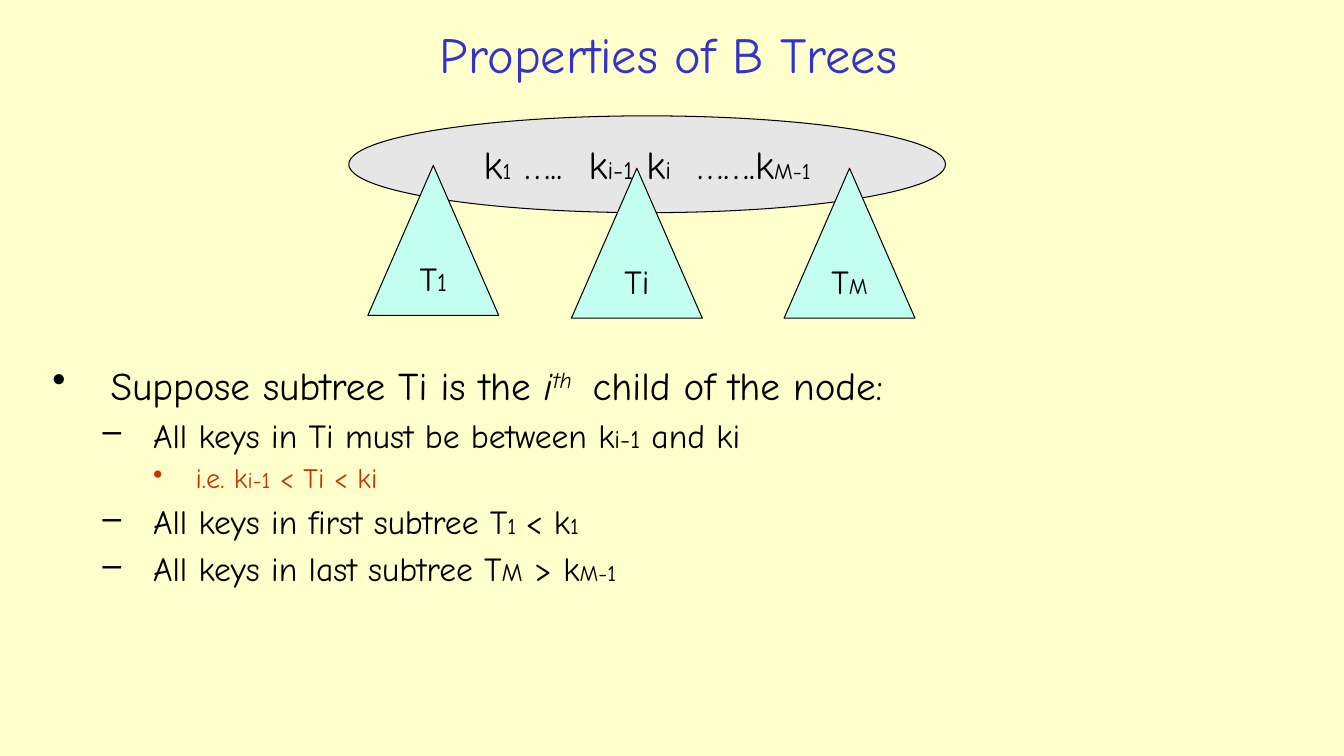
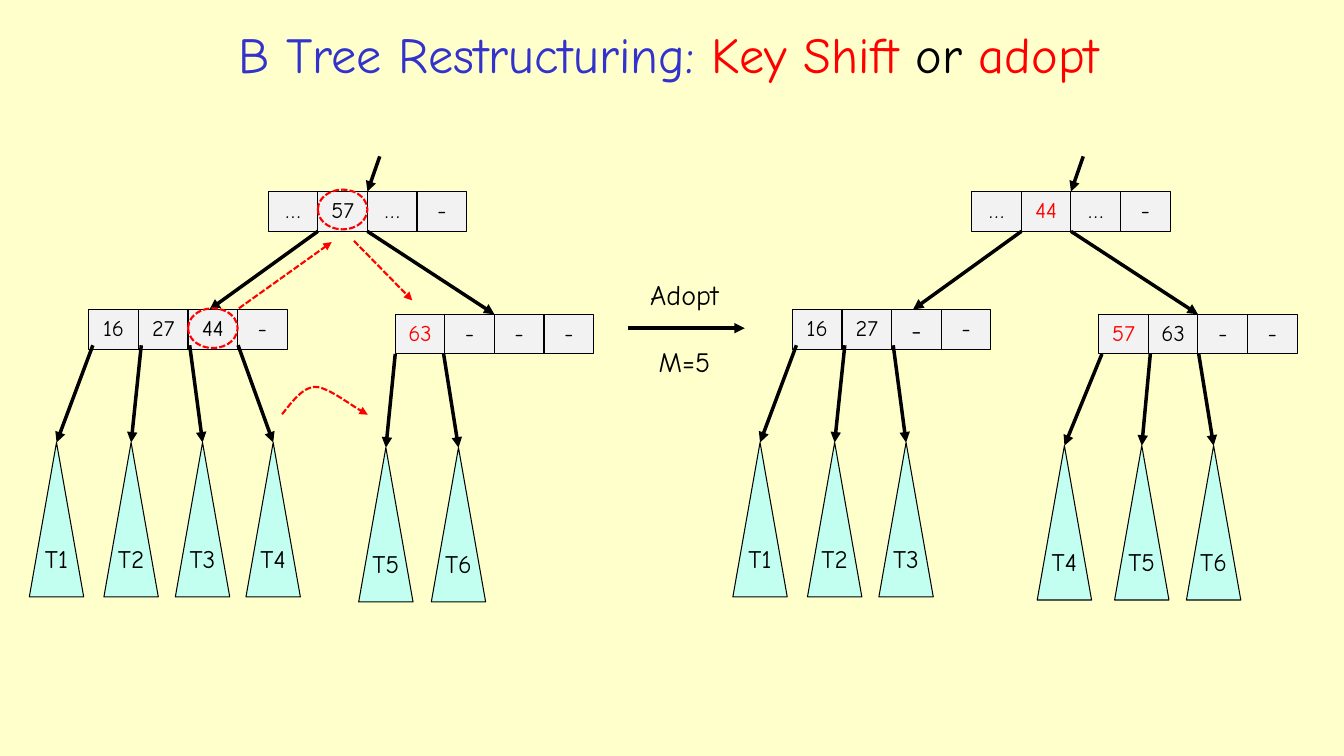
from lxml.etree import SubElement
from pptx import Presentation
from pptx.dml.color import RGBColor
from pptx.enum.dml import MSO_LINE
from pptx.enum.shapes import MSO_CONNECTOR, MSO_SHAPE as SHAPE
from pptx.enum.text import MSO_ANCHOR as ANCHOR, PP_ALIGN as ALIGN
from pptx.oxml.ns import qn
from pptx.util import Cm, Pt

COLORS = {
    "page": "FFFFCC", "title": "3333CC", "ink": "000000", "red": "FF0000",
    "rust": "CC3300", "node": "E6E6E6", "cell": "F2F2F2", "subtree": "C2FFF0",
}
FONT = "Comic Neue"
CELL_W, CELL_H = 1.25, 1.0
SUBTREE_W, SUBTREE_H = 1.37, 3.89
# Bullet, left margin and hanging indent of each level
LEVELS = [("•", 1.47, 1.47), ("–", 2.54, 1.27), ("•", 3.61, 1.07)]


def rgb(name):
    return RGBColor.from_string(COLORS[name])


def add_runs(p, runs, size=16, color="ink"):
    """Each run is plain text or (text, format); a format overrides size and color."""
    for run in runs:
        text, extra = (run, {}) if isinstance(run, str) else run
        fmt = {"name": FONT, "size": size, "color": color, **extra}
        r = p.add_run()
        r.text = text
        r.font.color.rgb = rgb(fmt.pop("color"))
        if "baseline" in fmt:
            r._r.get_or_add_rPr().set("baseline", str(fmt.pop("baseline")))
        fmt["size"] = Pt(fmt["size"])
        for key, value in fmt.items():
            setattr(r.font, key, value)


def style_line(line, color="ink", width=0.75, dashed=False):
    line.color.rgb = rgb(color)
    line.width = Pt(width)
    if dashed:
        line.dash_style = MSO_LINE.SQUARE_DOT


def add_head(sp):
    sp.line._get_or_add_ln().append(
        sp._element.makeelement(qn("a:tailEnd"), {"type": "triangle"}))


def add_text(s, box, anchor=ANCHOR.TOP, wrap=True):
    tf = s.shapes.add_textbox(*map(Cm, box)).text_frame
    tf.word_wrap, tf.vertical_anchor = wrap, anchor
    return tf


def add_shape(s, kind, box, fill, runs, size, anchor=ANCHOR.MIDDLE, wrap=False):
    sp = s.shapes.add_shape(kind, *map(Cm, box))
    sp.shadow.inherit = False
    sp.fill.solid()
    sp.fill.fore_color.rgb = rgb(fill)
    style_line(sp.line)
    tf = sp.text_frame
    tf.word_wrap, tf.vertical_anchor = wrap, anchor
    p = tf.paragraphs[0]
    p.alignment = ALIGN.CENTER
    add_runs(p, runs, size)


def add_arrow(s, start, end, color="ink", width=2.5, dashed=False):
    sp = s.shapes.add_connector(MSO_CONNECTOR.STRAIGHT, *map(Cm, (*start, *end)))
    style_line(sp.line, color, width, dashed)
    add_head(sp)
    SubElement(sp._element.spPr, qn("a:effectLst"))


def add_slide(prs, title):
    s = prs.slides.add_slide(prs.slide_layouts[6])
    p = add_text(s, (2.46, 0.38, 28.78, 1.93), ANCHOR.MIDDLE).paragraphs[0]
    p.alignment = ALIGN.CENTER
    add_runs(p, title, 36, "title")
    return s


def add_bullets(s, box, items):
    """Each item is (level, size, color, runs)."""
    tf = add_text(s, box)
    for i, (level, size, color, runs) in enumerate(items):
        p = tf.add_paragraph() if i else tf.paragraphs[0]
        p.level = level
        if i:
            p.space_before = Pt(0.2 * size)
        char, margin, hang = LEVELS[level]
        pPr = p._p.get_or_add_pPr()
        pPr.set("marL", str(Cm(margin)))
        pPr.set("indent", str(-Cm(hang)))
        SubElement(pPr, qn("a:buChar"), char=char)
        add_runs(p, runs, size, color)


def add_key_node(s, left, top):
    small, index = {"size": 16}, {"size": 18}
    keys = ["k", ("1", small), " …..  k", ("i-1", index), " k", ("i", index),
            "  …….k", ("M-1", small)]
    add_shape(s, SHAPE.OVAL, (left, top, 15.04, 2.44), "node", keys, 28)
    subtrees = [(0.48, 1.25, ["T", ("1", index)]),
                (5.61, 1.32, ["Ti"]),
                (10.97, 1.32, ["T", ("M", small)])]
    for dx, dy, label in subtrees:
        box = (left + dx, top + dy, 3.3, 3.78)
        add_shape(s, SHAPE.ISOSCELES_TRIANGLE, box, "subtree", label, 24)


def add_cells(s, left, top, cells):
    for i, cell in enumerate(cells):
        add_shape(s, SHAPE.RECTANGLE, (left + i * CELL_W, top, CELL_W, CELL_H),
                  "cell", [cell], 16, ANCHOR.TOP, True)


def add_child(s, left, top, cells, subtrees, origin, subtree_top, lead, lift):
    """Node with subtrees; arrows start lead from its left, lift above its bottom."""
    add_cells(s, left, top, cells)
    for i, (label, dx) in enumerate(subtrees):
        x = origin + dx
        add_shape(s, SHAPE.ISOSCELES_TRIANGLE,
                  (x, subtree_top, SUBTREE_W, SUBTREE_H), "subtree", [label], 18)
        add_arrow(s, (left + lead + i * 1.22, top + CELL_H - lift),
                  (x + SUBTREE_W / 2, subtree_top))


def add_tree(s, left, top, root, low, high):
    """low and high hold the cells and subtrees of the two children of root."""
    root_x, root_y = left + 6.02, top + 0.89
    low_x, low_y = left + 1.5, top + 3.86
    high_x, high_y = left + 9.22, top + 3.98
    add_child(s, low_x, low_y, origin=left, subtree_top=top + 7.21,
              lead=0.1, lift=0.1, **low)
    add_child(s, high_x, high_y, origin=left, lift=0, **high)
    add_cells(s, root_x, root_y, root)
    bottom = root_y + CELL_H
    right_key = root_x + 2 * CELL_W
    add_arrow(s, (right_key + 0.31, top), (right_key, root_y))
    add_arrow(s, (root_x + CELL_W, bottom), (low_x + 3.04, low_y))
    add_arrow(s, (right_key, bottom), (high_x + 2.5, high_y))


def bezier(a, b, c, d, steps=12):
    """Points after a along the cubic curve from a to d."""
    for i in range(1, steps + 1):
        t = i / steps
        u = 1 - t
        weights = (u ** 3, 3 * u * u * t, 3 * u * t * t, t ** 3)
        yield tuple(sum(w * pt[k] for w, pt in zip(weights, (a, b, c, d)))
                    for k in (0, 1))


def add_shift_marks(s, left, top):
    dashed = {"color": "red", "width": 1.5, "dashed": True}

    def at(x, y):
        return left + x, top + y

    for x, y in [(4.0, 3.83), (7.27, 0.84)]:
        sp = s.shapes.add_shape(SHAPE.OVAL, *map(Cm, (*at(x, y), CELL_W, CELL_H)))
        sp.shadow.inherit = False
        sp.fill.background()
        style_line(sp.line, **dashed)
    add_arrow(s, at(5.28, 3.83), at(7.62, 2.16), **dashed)
    add_arrow(s, at(8.18, 2.13), at(9.65, 3.63), **dashed)

    start, crest = at(6.37, 6.5), at(7.18, 5.81)
    points = [*bezier(start, at(6.63, 6.17), at(6.88, 5.84), crest),
              *bezier(crest, at(7.52, 5.79), at(8.12, 6.3), at(8.53, 6.51))]
    path = s.shapes.build_freeform(*map(Cm, start))
    path.add_line_segments([(Cm(x), Cm(y)) for x, y in points], close=False)
    sp = path.convert_to_shape()
    sp.shadow.inherit = False
    sp.fill.background()
    style_line(sp.line, **dashed)
    add_head(sp)


def add_step(s, left, top):
    add_arrow(s, (left, top + 1.41), (left + 2.95, top + 1.41))
    tf = add_text(s, (left + 0.16, top, 2.54, 2.82), wrap=False)
    for i, label in enumerate(["Adopt", "M=5"]):
        p = tf.add_paragraph() if i else tf.paragraphs[0]
        p.alignment = ALIGN.CENTER
        if i:
            p.space_before = Pt(24)
        add_runs(p, [label], 20)


def properties_slide(prs):
    s = add_slide(prs, ["Properties of B Trees"])
    small, index = {"size": 16}, {"size": 18}
    add_bullets(s, (1.07, 8.97, 31.27, 9.14), [
        (0, 28, "ink", ["Suppose subtree Ti is the ", ("i", {"italic": True}),
                        ("th ", {"italic": True, "baseline": 30000}),
                        " child of the node:"]),
        (1, 24, "ink", ["All keys in Ti must be between k", ("i-1", index),
                        " and ki"]),
        (2, 20, "rust", ["i.e. k", ("i-1", small), " < Ti < ki"]),
        (1, 24, "ink", ["All keys in first subtree T", ("1", small),
                        (" ", {"size": 20}), "< k", ("1", small)]),
        (1, 24, "ink", ["All keys in last subtree T", ("M", index), " > k",
                        ("M-1", small)]),
    ])
    add_key_node(s, 8.79, 2.92)


def restructuring_slide(prs):
    red = {"color": "red"}
    s = add_slide(prs, ["B Tree Restructuring: ", ("Key Shift ", red),
                        ("or", {"color": "ink"}), (" adopt", red)])
    top = 3.94
    kept = [("T1", 0), ("T2", 1.88), ("T3", 3.68)]
    add_tree(s, 0.74, top, ["…", "57", "…", "-"],
             {"cells": ["16", "27", "44", "-"], "subtrees": kept + [("T4", 5.46)]},
             {"cells": [("63", red), "-", "-", "-"], "lead": 0,
              "subtrees": [("T5", 8.3), ("T6", 10.13)], "subtree_top": top + 7.34})
    add_step(s, 15.82, 6.86)
    add_shift_marks(s, 0.74, top)
    add_tree(s, 18.47, top, ["…", ("44", red), "…", "-"],
             {"cells": ["16", "27", ("-", {"size": 18}), "-"], "subtrees": kept},
             {"cells": [("57", red), "63", "-", "-"], "lead": 0.08,
              "subtrees": [("T4", 7.67), ("T5", 9.62), ("T6", 11.43)],
              "subtree_top": top + 7.29})


def main():
    prs = Presentation()
    prs.slide_width, prs.slide_height = Cm(33.87), Cm(19.05)
    fill = prs.slide_master.background.fill
    fill.solid()
    fill.fore_color.rgb = rgb("page")
    properties_slide(prs)
    restructuring_slide(prs)
    prs.save("out.pptx")


if __name__ == "__main__":
    main()
